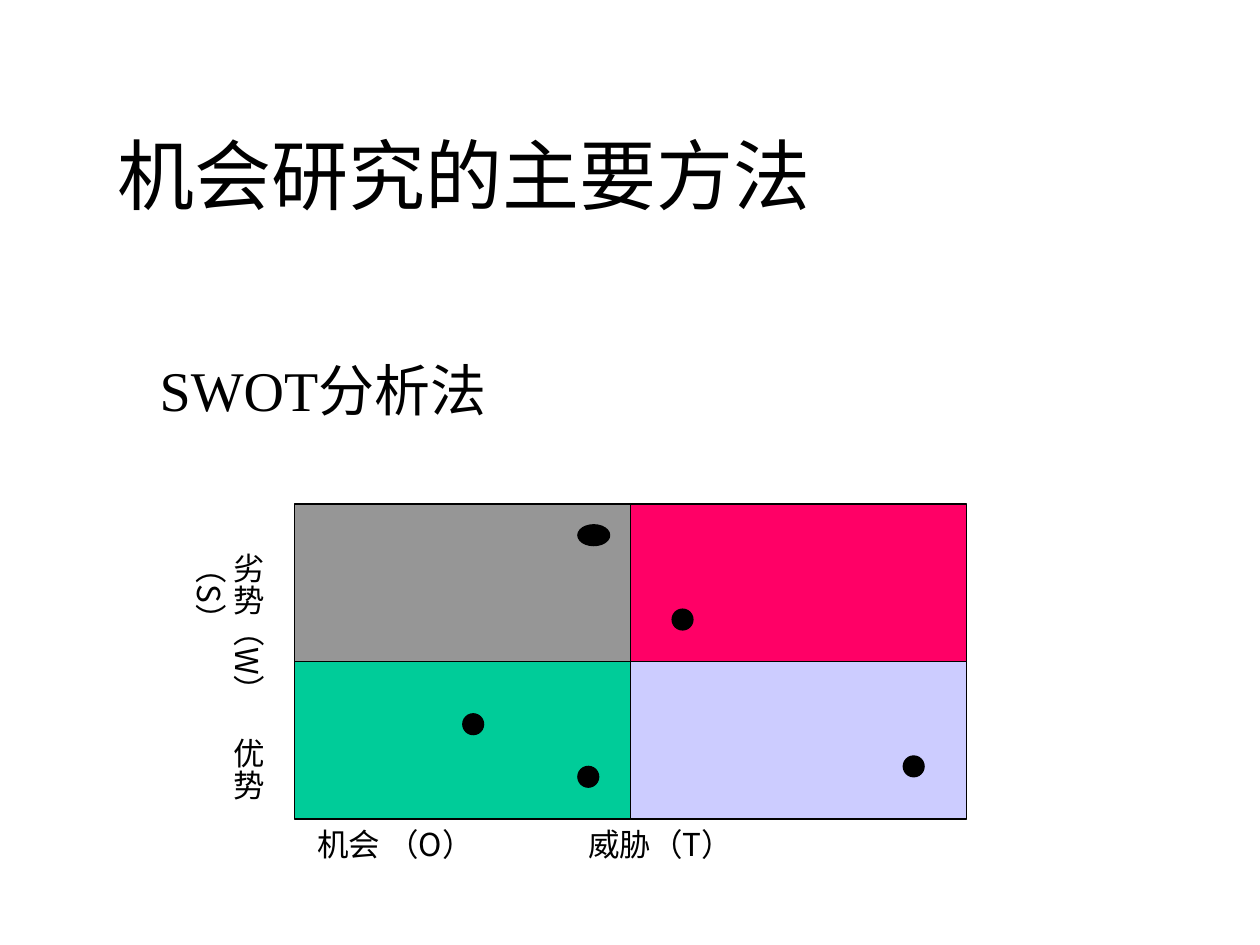
from pptx import Presentation
from pptx.dml.color import RGBColor
from pptx.enum.shapes import MSO_SHAPE as Kind
from pptx.enum.text import MSO_ANCHOR as Anchor
from pptx.oxml.ns import qn
from pptx.util import Cm, Pt
from lxml.etree import SubElement as Sub

SERIF = "Times New Roman"
SANS = "Noto Sans CJK SC"


def tint(code):
    """Return the colour for a hex string."""
    return RGBColor.from_string(code)


def label(slide, box, text, size, face, tab=None, upright=False):
    """Place one line of text, with an optional tab stop, in a box."""
    frame = slide.shapes.add_textbox(*map(Cm, box)).text_frame
    frame.word_wrap = True
    frame.text = text
    para = frame.paragraphs[0]
    if tab:
        stops = Sub(para._p.get_or_add_pPr(), qn("a:tabLst"))
        Sub(stops, qn("a:tab"), pos=str(Cm(tab)), algn="l")
    if upright:
        frame._txBody.bodyPr.set("vert", "eaVert")
        frame.margin_left = frame.margin_right = Cm(0.13)
        frame.margin_top = frame.margin_bottom = Cm(0.25)
    for run in para.runs:
        run.font.size = Pt(size)
        run.font.name = face
        run.font.color.rgb = tint("000000")
        Sub(run._r.get_or_add_rPr(), qn("a:ea"), typeface=SANS)
    return frame


def solid(slide, kind, box, fill):
    """Draw a filled shape with a thin black outline."""
    shape = slide.shapes.add_shape(kind, *map(Cm, box))
    shape.shadow.inherit = False
    shape.fill.solid()
    shape.fill.fore_color.rgb = tint(fill)
    shape.line.color.rgb = tint("000000")
    shape.line.width = Pt(0.75)


def heading(slide, box):
    """Place the title and the name of the method below it."""
    left, top, width, height = box
    title = label(slide, box, "机会研究的主要方法", 44, SERIF)
    title.vertical_anchor = Anchor.MIDDLE
    sub = (left + 0.85, top + 5.13, width - 1.9, 1.9)
    label(slide, sub, "SWOT分析法", 32, SERIF)


def matrix(slide, box):
    """Draw the four quadrants and the dots inside them."""
    left, top, width, height = box
    wide, high = width / 2, height / 2
    fills = (("969696", "FF0066"), ("00CC99", "CCCCFF"))
    for row, pair in enumerate(fills):
        for col, fill in enumerate(pair):
            cell = (left + col * wide, top + row * high, wide, high)
            solid(slide, Kind.RECTANGLE, cell, fill)
    dots = ((7.62, 2.12, 0.42), (3.4, 4.23, 0.42), (5.72, 5.29, 0.42),
            (5.72, 0.42, 0.64), (12.28, 5.08, 0.42))
    for x, y, size in dots:
        solid(slide, Kind.OVAL, (left + x, top + y, size, 0.42), "000000")


def axes(slide, box):
    """Label the bottom and the left side of the matrix."""
    left, top, width, height = box
    base = (left + 0.22, top + height, width - 0.43, 1.02)
    label(slide, base, "机会 （O）\t威胁（T）", 18, SANS, 5.46)
    side = (left - 2.45, top + 0.74, 2.03, 5.87)
    label(slide, side, "劣势（W）\t优势（S）", 18, SANS, 3.73, True)


def main():
    """Build and save the slide."""
    deck = Presentation()
    deck.slide_width, deck.slide_height = Cm(25.4), Cm(19.05)
    slide = deck.slides.add_slide(deck.slide_layouts[6])
    grid = (5.93, 10.16, 13.55, 6.35)
    heading(slide, (2.12, 1.91, 21.59, 3.18))
    matrix(slide, grid)
    axes(slide, grid)
    deck.save("out.pptx")


if __name__ == "__main__":
    main()
